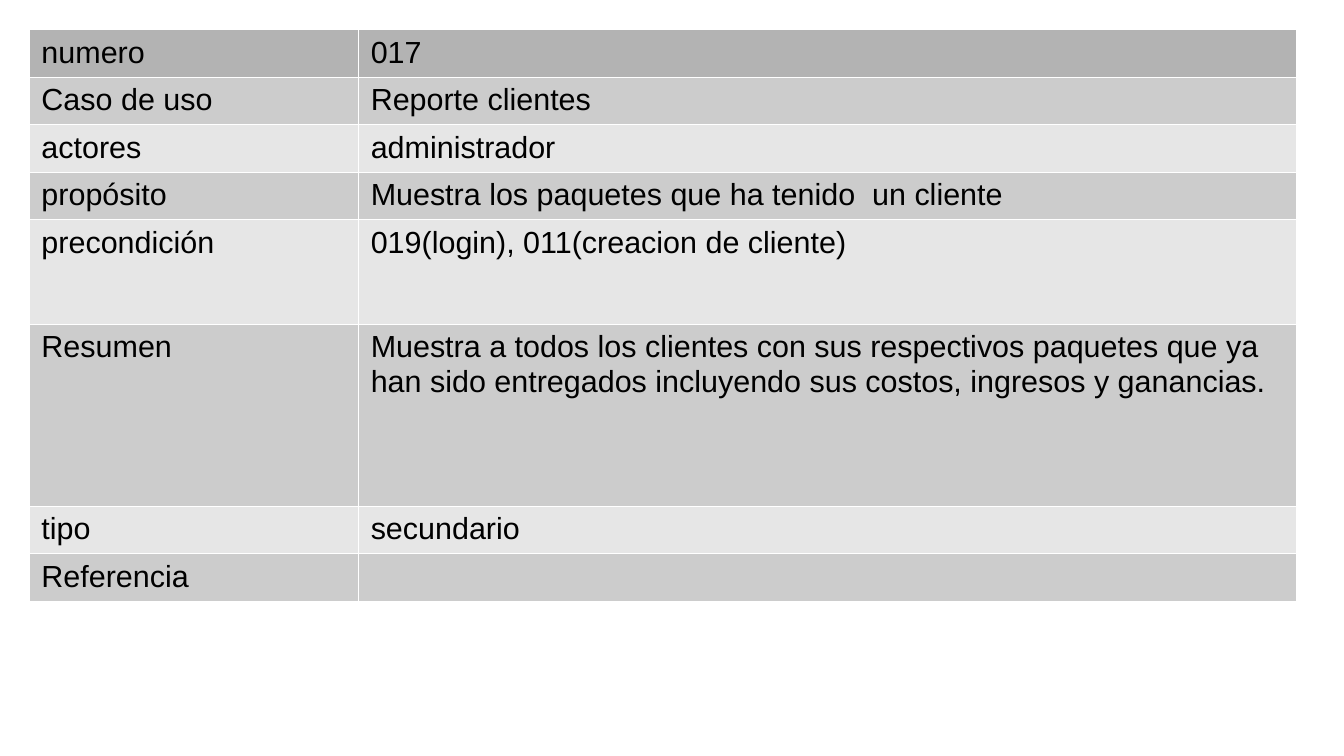
from lxml import etree
from pptx import Presentation
from pptx import util as u
from pptx.dml.color import RGBColor
from pptx.oxml.ns import qn

COLORS = {
    "header": "B3B3B3",
    "dark_band": "CCCCCC",
    "light_band": "E6E6E6",
    "border": "FFFFFF",
    "text": "000000",
}
FONT = "Arial"
BORDER_WIDTH = u.Pt(0.06)
COLUMN_WIDTHS = (2.7, 7.69)
ROW_HEIGHT = 0.39

# Label, value, row height
USE_CASE = [
    ("numero", "017", ROW_HEIGHT),
    ("Caso de uso", "Reporte clientes", ROW_HEIGHT),
    ("actores", "administrador", ROW_HEIGHT),
    ("propósito", "Muestra los paquetes que ha tenido  un cliente", ROW_HEIGHT),
    ("precondición", "019(login), 011(creacion de cliente)", 0.86),
    ("Resumen", "Muestra a todos los clientes con sus respectivos paquetes que ya "
     "han sido entregados incluyendo sus costos, ingresos y ganancias.", 1.49),
    ("tipo", "secundario", ROW_HEIGHT),
    ("Referencia", "", ROW_HEIGHT),
]


def row_color(index):
    if index == 0:
        return COLORS["header"]
    return COLORS["dark_band"] if index % 2 else COLORS["light_band"]


def add_borders(cell):
    properties = cell._tc.get_or_add_tcPr()
    for side in ("a:lnL", "a:lnR", "a:lnT", "a:lnB"):
        line = etree.SubElement(properties, qn(side), w=str(BORDER_WIDTH))
        fill = etree.SubElement(line, qn("a:solidFill"))
        etree.SubElement(fill, qn("a:srgbClr"), val=COLORS["border"])


def format_cell(cell, content, color):
    # Borders come before the fill in the cell properties
    add_borders(cell)
    cell.fill.solid()
    cell.fill.fore_color.rgb = RGBColor.from_string(color)
    cell.text = content
    font = cell.text_frame.paragraphs[0].font
    font.name = FONT
    font.size = u.Pt(18)
    font.bold = False
    font.color.rgb = RGBColor.from_string(COLORS["text"])


def add_use_case_table(slide, left, top):
    width = sum(COLUMN_WIDTHS)
    height = sum(row_height for _, _, row_height in USE_CASE)
    table = slide.shapes.add_table(
        len(USE_CASE), len(COLUMN_WIDTHS),
        u.Inches(left), u.Inches(top), u.Inches(width), u.Inches(height)).table
    for column, column_width in zip(table.columns, COLUMN_WIDTHS):
        column.width = u.Inches(column_width)
    for index, (label, value, row_height) in enumerate(USE_CASE):
        table.rows[index].height = u.Inches(row_height)
        for cell, content in zip(table.rows[index].cells, (label, value)):
            format_cell(cell, content, row_color(index))


def main():
    presentation = Presentation()
    presentation.slide_width = u.Inches(11.02)
    presentation.slide_height = u.Inches(6.2)
    slide = presentation.slides.add_slide(presentation.slide_layouts[6])

    # Use case description
    add_use_case_table(slide, 0.24, 0.24)

    presentation.save("out.pptx")


if __name__ == "__main__":
    main()
